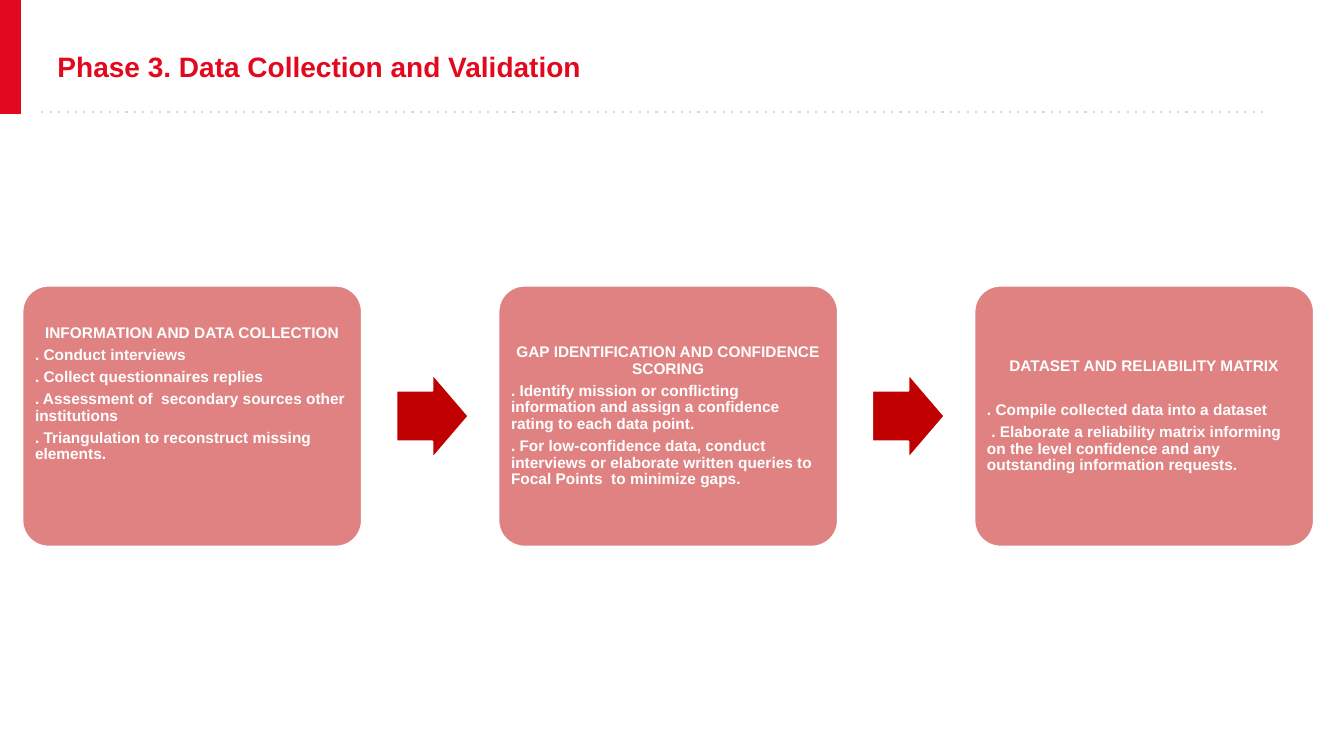
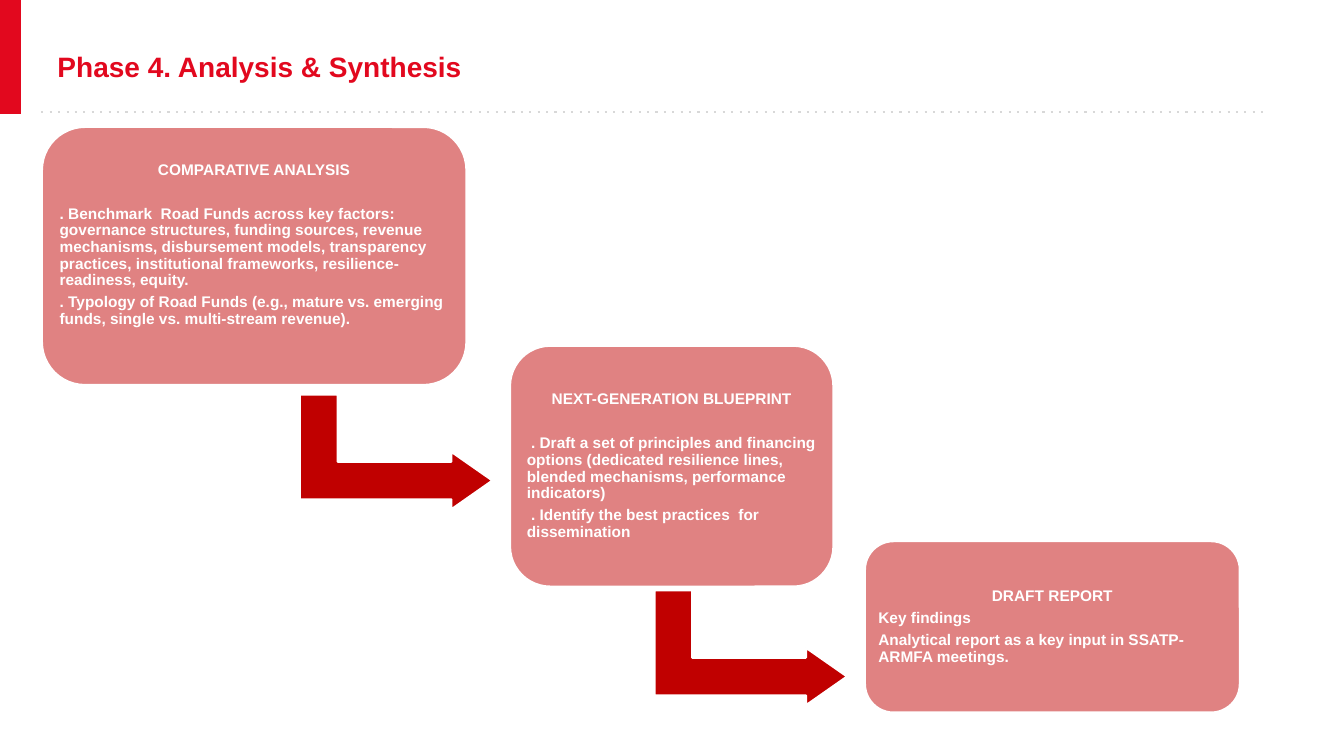
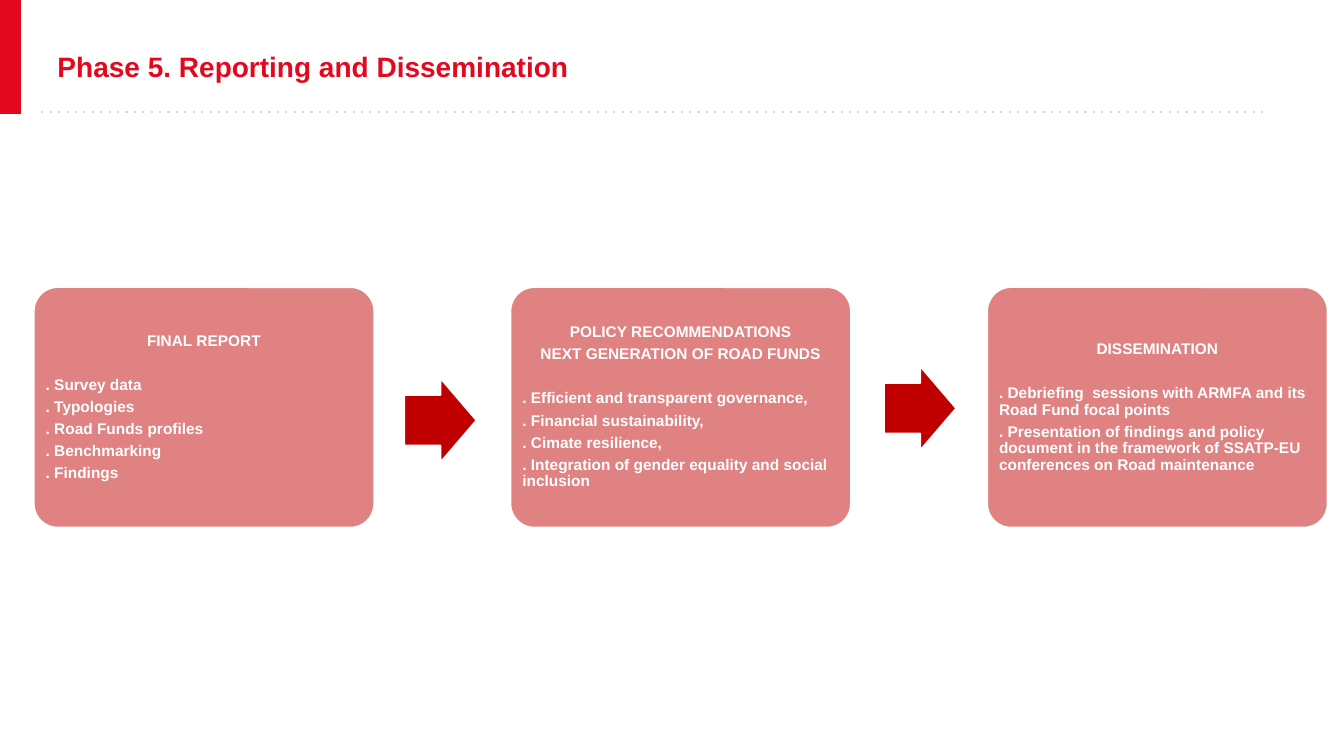
import lxml.etree
import pptx
import pptx.dml.color
import pptx.enum.shapes
import pptx.enum.text
import pptx.oxml.ns
import pptx.util

Pt = pptx.util.Pt
RGBColor = pptx.dml.color.RGBColor
SHAPE = pptx.enum.shapes.MSO_SHAPE
ALIGN = pptx.enum.text.PP_ALIGN
ANCHOR = pptx.enum.text.MSO_ANCHOR
qn = pptx.oxml.ns.qn

RED = RGBColor(0xE2, 0x08, 0x1E)
DARK_RED = RGBColor(0xC0, 0x00, 0x00)
GREY = RGBColor(0xD8, 0xD8, 0xD8)
WHITE = RGBColor(0xFF, 0xFF, 0xFF)

BLANK_LINE = 15.7


def apply(target, values):
    for name, value in values.items():
        setattr(target, name, value)


class Deck:
    title_font = {"name": "Arial", "size": Pt(20), "bold": True}
    box_font = {"name": "Arial", "size": Pt(11), "bold": True}
    title_place = {"left": Pt(32.4), "top": Pt(31), "width": Pt(895), "height": Pt(33)}
    title_frame = {
        "margin_left": Pt(8.64), "margin_right": Pt(8.64),
        "margin_top": Pt(4.32), "margin_bottom": Pt(4.32),
        "vertical_anchor": ANCHOR.TOP, "word_wrap": True,
        "auto_size": pptx.enum.text.MSO_AUTO_SIZE.NONE,
    }
    box_frame = {
        "margin_left": Pt(3.6), "margin_right": Pt(3.6), "margin_top": Pt(3.6),
        "vertical_anchor": ANCHOR.MIDDLE, "word_wrap": True,
    }

    def __init__(self):
        self.prs = pptx.Presentation()
        apply(self.prs, {"slide_width": Pt(960), "slide_height": Pt(540)})
        self.layout = self.prs.slide_layouts[5]
        for ph in list(self.layout.placeholders)[1:]:
            ph.element.getparent().remove(ph.element)
        apply(self.layout.placeholders[0], self.title_place)
        self.s = None

    def slide(self, title):
        first = self.s is None
        self.s = self.prs.slides.add_slide(self.layout)
        if first:
            self.header()
        tf = self.s.shapes.title.text_frame
        apply(tf, self.title_frame)
        self.paragraph(tf.paragraphs[0], title, self.title_font, RED)

    def header(self):
        bar = self.shape(SHAPE.RECTANGLE, (0, 0, 15, 81.4), RED)
        bar.line.fill.background()
        rule = self.s.shapes.add_connector(
            pptx.enum.shapes.MSO_CONNECTOR.STRAIGHT, Pt(29.5), Pt(80), Pt(904.3), Pt(80))
        rule.line.color.rgb = GREY
        rule.line.width = Pt(1.5)
        props = rule.element.find(qn("p:spPr"))
        lxml.etree.SubElement(props.find(qn("a:ln")), qn("a:prstDash"), val="dot")
        lxml.etree.SubElement(props, qn("a:effectLst"))
        for sp in (bar, rule):
            self.layout.shapes.element.insert(2, sp.element)

    def paragraph(self, p, text, font, color, align=ALIGN.LEFT):
        p.alignment = align
        r = p.add_run()
        r.text = text
        apply(r.font, font)
        r.font.color.rgb = color

    def shape(self, kind, place, color, adjustments=()):
        sp = self.s.shapes.add_shape(kind, *map(Pt, place))
        sp.shadow.inherit = False
        sp.fill.solid()
        sp.fill.fore_color.rgb = color
        sp.line.color.rgb = WHITE
        sp.line.width = Pt(1.5)
        for i, value in enumerate(adjustments):
            sp.adjustments[i] = value
        return sp

    def box(self, place, headings, items, gap=True, corner=0.1, blank_below=0):
        sp = self.shape(SHAPE.ROUNDED_RECTANGLE, place, DARK_RED, [corner])
        fill = sp.element.spPr.find(qn("a:solidFill"))
        lxml.etree.SubElement(fill[0], qn("a:alpha"), val="49000")
        tf = sp.text_frame
        apply(tf, self.box_frame)
        tf.margin_bottom = Pt(3.6 + blank_below * BLANK_LINE)
        for i, text in enumerate(headings + items):
            p = tf.add_paragraph() if i else tf.paragraphs[0]
            p.line_spacing = 0.9
            if i:
                extra = BLANK_LINE if gap and i == len(headings) else 0
                p.space_before = Pt(3.9 + extra)
            align = ALIGN.CENTER if i < len(headings) else ALIGN.LEFT
            self.paragraph(p, text, self.box_font, WHITE, align)

    def arrow(self, left, top):
        self.shape(SHAPE.RIGHT_ARROW, (left, top, 51.8, 60.5), DARK_RED, (0.6, 0.5))

    def bent_arrow(self, left, top):
        sp = self.shape(SHAPE.BENT_UP_ARROW, (left, top, 82, 137.5), DARK_RED,
                        (0.328, 0.25, 0.358))
        sp.rotation = 90

    def row(self, left, top, pitch, size, boxes):
        for i, (headings, items, options) in enumerate(boxes):
            self.box((left + i * pitch, top, *size), headings, items, **options)


COLLECTION = [
    (["INFORMATION AND DATA COLLECTION"],
     [". Conduct interviews",
      ". Collect questionnaires replies",
      ". Assessment of  secondary sources other institutions",
      ". Triangulation to reconstruct missing elements."],
     {"gap": False, "blank_below": 2}),
    (["GAP IDENTIFICATION AND CONFIDENCE SCORING"],
     [". Identify mission or conflicting information and assign a confidence rating "
      "to each data point.",
      ". For low-confidence data, conduct interviews or elaborate written queries to "
      "Focal Points  to minimize gaps."],
     {"gap": False}),
    (["DATASET AND RELIABILITY MATRIX"],
     [". Compile collected data into a dataset",
      " . Elaborate a reliability matrix informing on the level confidence and any "
      "outstanding information requests."],
     {}),
]

ANALYSIS = [
    ((30, 90.7, 303.2, 184.3), ["COMPARATIVE ANALYSIS"],
     [". Benchmark  Road Funds across key factors: governance structures, funding "
      "sources, revenue mechanisms, disbursement models, transparency practices, "
      "institutional frameworks, resilience-readiness, equity.",
      ". Typology of Road Funds (e.g., mature vs. emerging funds, single vs. "
      "multi-stream revenue)."],
     {"blank_below": 1}),
    ((364.3, 247, 231, 172), ["NEXT-GENERATION BLUEPRINT"],
     [" . Draft a set of principles and financing options (dedicated resilience lines, "
      "blended mechanisms, performance indicators)",
      " . Identify the best practices  for dissemination"],
     {}),
    ((617.8, 386.6, 267.8, 122.4), ["DRAFT REPORT"],
     ["Key findings",
      "Analytical report as a key input in SSATP-ARMFA meetings."],
     {"gap": False}),
]

REPORTING = [
    (["FINAL REPORT"],
     [". Survey data", ". Typologies", ". Road Funds profiles", ". Benchmarking",
      ". Findings"],
     {}),
    (["POLICY RECOMMENDATIONS", "NEXT GENERATION OF ROAD FUNDS"],
     [". Efficient and transparent governance,",
      ". Financial sustainability,",
      ". Cimate resilience,",
      ". Integration of gender equality and social inclusion"],
     {}),
    (["DISSEMINATION"],
     [". Debriefing  sessions with ARMFA and its Road Fund focal points",
      ". Presentation of findings and policy document in the framework of SSATP-EU "
      "conferences on Road maintenance"],
     {}),
]


def main():
    deck = Deck()

    deck.slide("Phase 3. Data Collection and Validation")
    deck.row(16, 204, 340, (242.6, 186.5), COLLECTION)
    for left in (283, 623):
        deck.arrow(left, 267)

    deck.slide("Phase 4. Analysis & Synthesis")
    for left, top in ((242, 254), (495.3, 394)):
        deck.bent_arrow(left, top)
    for place, headings, items, options in ANALYSIS:
        deck.box(place, headings, items, corner=0.167, **options)

    deck.slide("Phase 5. Reporting and Dissemination")
    deck.row(24, 205, 340.5, (243.4, 172), REPORTING)
    for left, top in ((288.7, 270), (631.4, 261.4)):
        deck.arrow(left, top)

    deck.prs.save("out.pptx")


if __name__ == "__main__":
    main()
